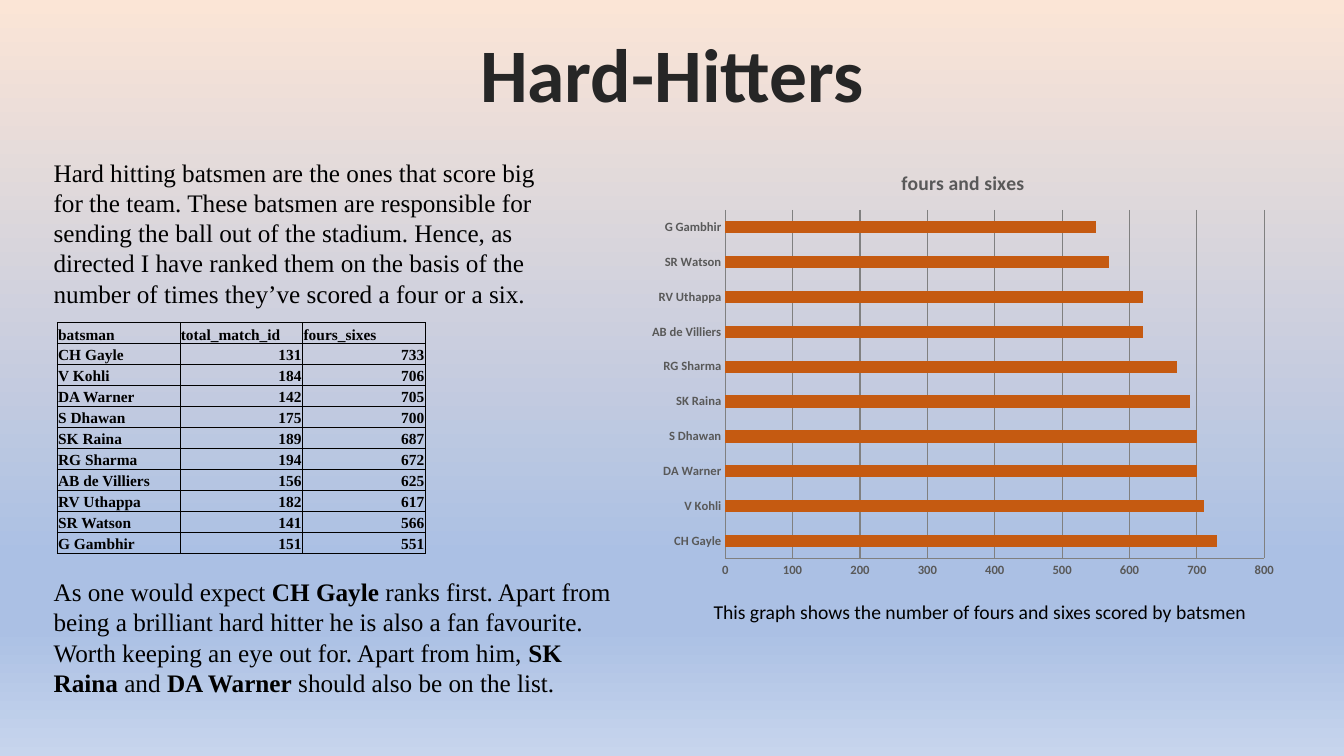
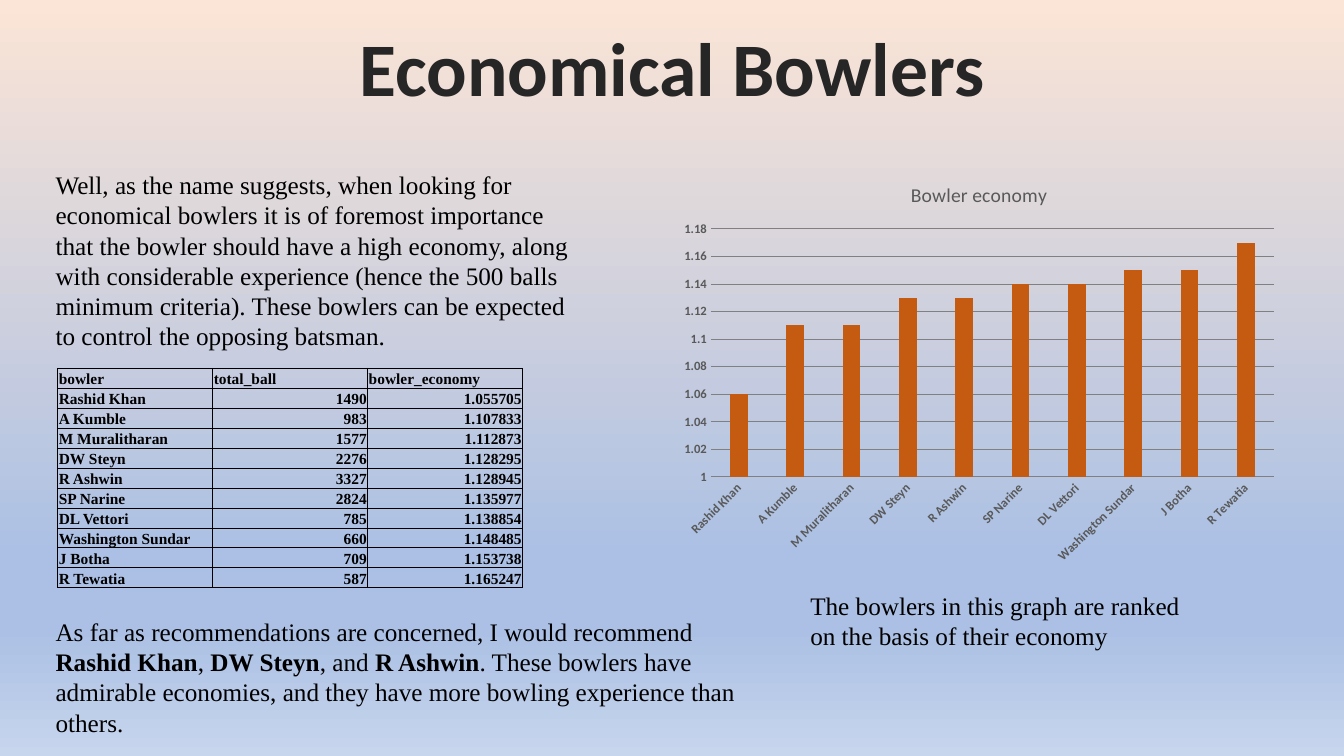
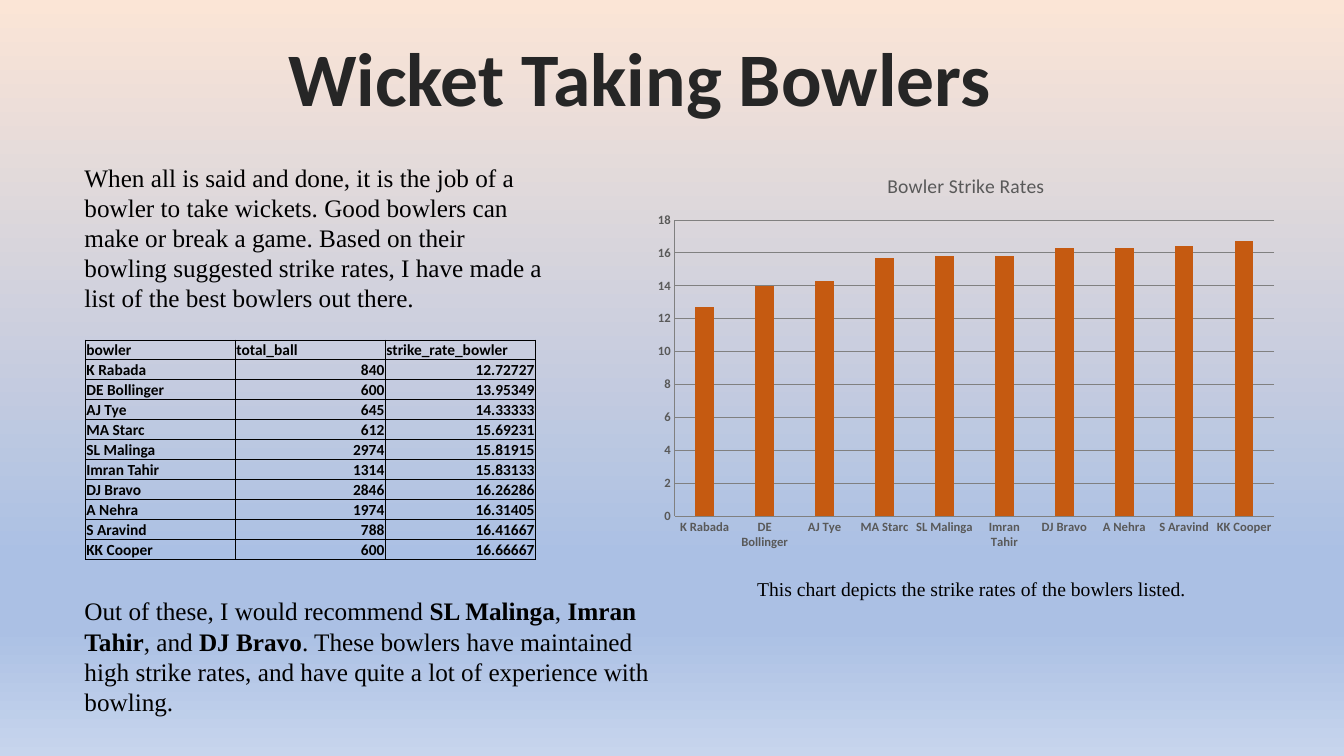
from dataclasses import dataclass

from lxml.etree import SubElement
from pptx import Presentation
from pptx.chart.data import CategoryChartData
from pptx.dml.color import RGBColor
from pptx.enum.chart import XL_CHART_TYPE, XL_TICK_MARK
from pptx.enum.text import MSO_ANCHOR, MSO_AUTO_SIZE, PP_ALIGN
from pptx.oxml import parse_xml
from pptx.oxml.ns import nsdecls, qn
from pptx.util import Inches, Pt

SLIDE_W, SLIDE_H = Inches(13.33), Inches(7.5)
TITLE_ONLY = 5


@dataclass(frozen=True)
class Theme:
    sans: str = "Calibri"
    serif: str = "Times New Roman"
    ink: str = "000000"
    title: str = "262626"
    title_edge: str = "FFFFFF"
    chart_text: str = "595959"
    rule: str = "808080"
    bar: str = "C55A11"
    sky: tuple = ((0, "FBE5D6"), (74, "ABC0E4"), (83, "ABC0E4"), (100, "C7D5ED"))
    title_size: int = 54
    body_size: int = 18
    caption_size: int = 14
    chart_title_size: int = 14
    chart_size: int = 10
    table_size: int = 11
    axis_size: int = 9


THEME = Theme()


@dataclass(frozen=True)
class Box:
    """Left, top, width and height in percent of the slide."""
    left: float
    top: float
    width: float
    height: float

    def emu(self):
        return (int(SLIDE_W * self.left / 100), int(SLIDE_H * self.top / 100),
                int(SLIDE_W * self.width / 100), int(SLIDE_H * self.height / 100))


def set_attributes(target, **values):
    for key, value in values.items():
        setattr(target, key, value)


def set_font(font, size, color, name, bold=False):
    set_attributes(font, size=Pt(size), name=name, bold=bold)
    font.color.rgb = RGBColor.from_string(color)


def line_xml(tag, points, color):
    return parse_xml(
        f'<a:{tag} {nsdecls("a")} w="{int(Pt(points))}"><a:solidFill>'
        f'<a:srgbClr val="{color}"/></a:solidFill></a:{tag}>')


def paint_background(master):
    fill = master.background.fill
    fill.gradient()
    fill.gradient_angle = 270
    stops = master.element.find(".//" + qn("a:gsLst"))
    for stop in list(stops):
        stops.remove(stop)
    for share, color in THEME.sky:
        stop = SubElement(stops, qn("a:gs"), pos=str(share * 1000))
        SubElement(stop, qn("a:srgbClr"), val=color)


def add_title(slide, box, text):
    title = slide.shapes.title
    set_attributes(title, **dict(zip(("left", "top", "width", "height"), box.emu())))
    frame = title.text_frame
    set_attributes(frame, word_wrap=False, auto_size=MSO_AUTO_SIZE.SHAPE_TO_FIT_TEXT,
                   vertical_anchor=MSO_ANCHOR.TOP)
    paragraph = frame.paragraphs[0]
    paragraph.alignment = PP_ALIGN.CENTER
    run = paragraph.add_run()
    run.text = text
    set_font(run.font, THEME.title_size, THEME.title, THEME.sans, bold=True)
    run.font._element.insert(0, line_xml("ln", 1.06, THEME.title_edge))


def add_prose(slide, box, text, size=THEME.body_size, face=THEME.serif):
    """Write one paragraph; parts between ** marks are bold."""
    frame = slide.shapes.add_textbox(*box.emu()).text_frame
    set_attributes(frame, word_wrap=True, auto_size=MSO_AUTO_SIZE.SHAPE_TO_FIT_TEXT)
    for index, part in enumerate(text.split("**")):
        run = frame.paragraphs[0].add_run()
        run.text = part
        set_font(run.font, size, THEME.ink, face, bold=index % 2 == 1)


def fill_cell(cell, text, face, align):
    set_attributes(cell, margin_left=Inches(0.01), margin_right=Inches(0.01),
                   margin_top=Inches(0.01), margin_bottom=0,
                   vertical_anchor=MSO_ANCHOR.BOTTOM)
    cell.fill.background()
    paragraph = cell.text_frame.paragraphs[0]
    paragraph.alignment = align
    run = paragraph.add_run()
    run.text = text
    set_font(run.font, THEME.table_size, THEME.ink, face, bold=True)
    properties = cell._tc.get_or_add_tcPr()
    for position, tag in enumerate(("lnL", "lnR", "lnT", "lnB")):
        properties.insert(position, line_xml(tag, 0.5, THEME.ink))


def add_ranking(slide, box, header, players, face):
    rows = [header, *players]
    left, top, width, height = box.emu()
    table = slide.shapes.add_table(len(rows), len(header), left, top, width, height).table
    set_attributes(table, first_row=False, horz_banding=False)
    for column in table.columns:
        column.width = width // len(header)
    for r, values in enumerate(rows):
        table.rows[r].height = height // len(rows)
        for c, text in enumerate(values):
            numeric = r > 0 and c > 0
            fill_cell(table.cell(r, c), text, face,
                      PP_ALIGN.RIGHT if numeric else PP_ALIGN.LEFT)


def style_line(line):
    line.color.rgb = RGBColor.from_string(THEME.rule)
    line.width = Pt(0.75)


def style_axis(axis, show_line=True):
    set_attributes(axis, major_tick_mark=XL_TICK_MARK.NONE, minor_tick_mark=XL_TICK_MARK.NONE)
    set_font(axis.tick_labels.font, THEME.axis_size, THEME.chart_text, THEME.sans, bold=True)
    if show_line:
        style_line(axis.format.line)
    else:
        axis.format.line.fill.background()


def clear_chart_fill(chart):
    clear = f'<c:spPr {nsdecls("c", "a")}><a:noFill/><a:ln><a:noFill/></a:ln></c:spPr>'
    body = chart._chartSpace.find(qn("c:chart"))
    body.addnext(parse_xml(clear))
    body.find(qn("c:plotArea")).append(parse_xml(clear))


def add_ranking_chart(slide, box, players, title, scale, digits,
                      kind=XL_CHART_TYPE.COLUMN_CLUSTERED, gap=219, overlap=-27,
                      bold_title=False, value_line=True):
    """Plot the last column of the ranking, rounded to the given digits, by player."""
    data = CategoryChartData()
    data.categories = [player[0] for player in players]
    data.add_series("Series 1", [round(float(player[-1]), digits) for player in players])
    chart = slide.shapes.add_chart(kind, *box.emu(), data).chart
    set_font(chart.font, THEME.chart_size, THEME.ink, THEME.sans)
    set_attributes(chart, has_legend=False, has_title=True)
    heading = chart.chart_title.text_frame.paragraphs[0].add_run()
    heading.text = title
    set_font(heading.font, THEME.chart_title_size, THEME.chart_text, THEME.sans, bold_title)
    chart.chart_title.include_in_layout = False

    plot = chart.plots[0]
    set_attributes(plot, gap_width=gap, overlap=overlap, vary_by_categories=False)
    bars = plot.series[0].format.fill
    bars.solid()
    bars.fore_color.rgb = RGBColor.from_string(THEME.bar)

    names, values = chart.category_axis, chart.value_axis
    style_axis(names)
    names._element.find(qn("c:txPr")).find(qn("a:bodyPr")).set("rot", "-60000000")
    style_axis(values, value_line)
    low, high, step = scale
    set_attributes(values, minimum_scale=low, maximum_scale=high, major_unit=step,
                   has_major_gridlines=True)
    set_attributes(values.tick_labels, number_format="General", number_format_is_linked=False)
    style_line(values.major_gridlines.format.line)
    clear_chart_fill(chart)


def add_ranking_slide(deck, boxes, title, intro, header, players, verdict, caption, chart,
                      caption_style, table_face=THEME.serif):
    slide = deck.slides.add_slide(deck.slide_layouts[TITLE_ONLY])
    add_title(slide, boxes["title"], title)
    add_ranking_chart(slide, boxes["chart"], players, **chart)
    add_prose(slide, boxes["intro"], intro)
    add_ranking(slide, boxes["table"], header, players, table_face)
    add_prose(slide, boxes["verdict"], verdict)
    add_prose(slide, boxes["caption"], caption, **caption_style)


HARD_HITTERS = dict(
    boxes=dict(
        title=Box(34.75, 2.85, 30.5, 13.5), intro=Box(3.25, 20.1, 38.9, 21.6),
        table=Box(4.25, 42.65, 27.4, 30.5), verdict=Box(3.25, 75.6, 43, 21.6),
        chart=Box(47.55, 20, 48.2, 57.5), caption=Box(52.35, 78.7, 43, 4.5)),
    title="Hard-Hitters",
    intro="Hard hitting batsmen are the ones that score big for the team. These batsmen are "
          "responsible for sending the ball out of the stadium. Hence, as directed I have ranked "
          "them on the basis of the number of times they’ve scored a four or a six.",
    header=("batsman", "total_match_id", "fours_sixes"),
    players=[
        ("CH Gayle", "131", "733"), ("V Kohli", "184", "706"),
        ("DA Warner", "142", "705"), ("S Dhawan", "175", "700"),
        ("SK Raina", "189", "687"), ("RG Sharma", "194", "672"),
        ("AB de Villiers", "156", "625"), ("RV Uthappa", "182", "617"),
        ("SR Watson", "141", "566"), ("G Gambhir", "151", "551")],
    verdict="As one would expect **CH Gayle** ranks first. Apart from being a brilliant hard "
            "hitter he is also a fan favourite. Worth keeping an eye out for. Apart from him, "
            "**SK Raina **and **DA Warner** should also be on the list.",
    caption="This graph shows the number of fours and sixes scored by batsmen",
    caption_style=dict(size=THEME.caption_size, face=THEME.sans),
    chart=dict(title="fours and sixes", scale=(0, 800, 100), digits=-1,
               kind=XL_CHART_TYPE.BAR_CLUSTERED, gap=182, overlap=0, bold_title=True))

ECONOMICAL_BOWLERS = dict(
    boxes=dict(
        title=Box(25.75, 2.1, 48.5, 13.5), intro=Box(3.4, 21.75, 40.7, 25.6),
        table=Box(4.3, 48.7, 34.6, 29.1), verdict=Box(3.4, 80.85, 53.6, 17.5),
        chart=Box(50, 21.7, 45.7, 54), caption=Box(59.55, 77.45, 29.5, 9.5)),
    title="Economical Bowlers",
    intro="Well, as the name suggests, when looking for economical bowlers it is of foremost "
          "importance that the bowler should have a high economy, along with considerable "
          "experience (hence the 500 balls minimum criteria). These bowlers can be expected to "
          "control the opposing batsman.",
    header=("bowler", "total_ball", "bowler_economy"),
    players=[
        ("Rashid Khan", "1490", "1.055705"), ("A Kumble", "983", "1.107833"),
        ("M Muralitharan", "1577", "1.112873"), ("DW Steyn", "2276", "1.128295"),
        ("R Ashwin", "3327", "1.128945"), ("SP Narine", "2824", "1.135977"),
        ("DL Vettori", "785", "1.138854"), ("Washington Sundar", "660", "1.148485"),
        ("J Botha", "709", "1.153738"), ("R Tewatia", "587", "1.165247")],
    verdict="As far as recommendations are concerned, I would recommend **Rashid Khan**, "
            "**DW Steyn**, and **R Ashwin**. These bowlers have admirable economies, and they "
            "have more bowling experience than others.",
    caption="The bowlers in this graph are ranked on the basis of their economy",
    caption_style=dict(size=THEME.body_size),
    chart=dict(title="Bowler economy", scale=(1, 1.18, 0.02), digits=2, value_line=False))

WICKET_TAKERS = dict(
    boxes=dict(
        title=Box(20.45, 3.4, 54.3, 13.5), intro=Box(5.55, 20.75, 35.6, 21.6),
        table=Box(6.35, 44.95, 33.5, 29.1), verdict=Box(5.55, 78.15, 43.6, 17.5),
        chart=Box(48, 20.55, 47.75, 53.2), caption=Box(55.6, 75.6, 34.3, 4.5)),
    title="Wicket Taking Bowlers",
    intro="When all is said and done, it is the job of a bowler to take wickets. Good bowlers can "
          "make or break a game. Based on their bowling suggested strike rates, I have made a "
          "list of the best bowlers out there.",
    header=("bowler", "total_ball", "strike_rate_bowler"),
    players=[
        ("K Rabada", "840", "12.72727"), ("DE Bollinger", "600", "13.95349"),
        ("AJ Tye", "645", "14.33333"), ("MA Starc", "612", "15.69231"),
        ("SL Malinga", "2974", "15.81915"), ("Imran Tahir", "1314", "15.83133"),
        ("DJ Bravo", "2846", "16.26286"), ("A Nehra", "1974", "16.31405"),
        ("S Aravind", "788", "16.41667"), ("KK Cooper", "600", "16.66667")],
    verdict="Out of these, I would recommend **SL Malinga**, **Imran Tahir**, and **DJ Bravo**. "
            "These bowlers have maintained high strike rates, and have quite a lot of experience "
            "with bowling.",
    caption="This chart depicts the strike rates of the bowlers listed.",
    caption_style=dict(size=THEME.caption_size),
    table_face=THEME.sans,
    chart=dict(title="Bowler Strike Rates", scale=(0, 18, 2), digits=1))


def main():
    deck = Presentation()
    set_attributes(deck, slide_width=SLIDE_W, slide_height=SLIDE_H)
    paint_background(deck.slide_master)
    for ranking in (HARD_HITTERS, ECONOMICAL_BOWLERS, WICKET_TAKERS):
        add_ranking_slide(deck, **ranking)
    deck.save("out.pptx")


if __name__ == "__main__":
    main()
